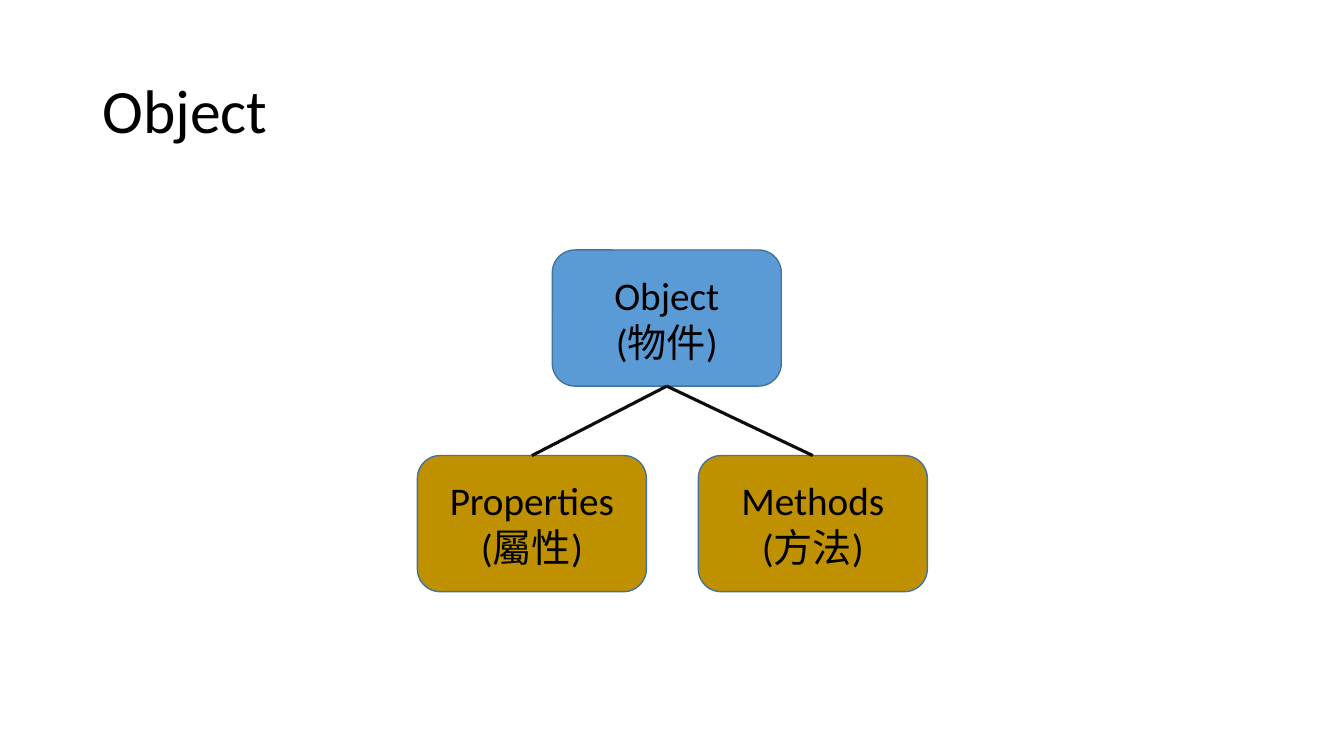
from lxml import etree
from pptx import Presentation
from pptx.dml.color import RGBColor
from pptx.enum.shapes import MSO_CONNECTOR, MSO_SHAPE
from pptx.enum.text import MSO_ANCHOR, PP_ALIGN
from pptx.oxml.ns import qn
from pptx.util import Cm, Pt

TITLE = "Object"
PARENT = (["Object", "(物件)"], 13.92, 6.3, "5B9BD5")
CHILDREN = [
    (["Methods", "(方法)"], 17.6, 11.48, "BF9000"),
    (["Properties", "(屬性)"], 10.52, 11.48, "BF9000"),
]
BOX_WIDTH, BOX_HEIGHT = Cm(5.77), Cm(3.43)
BOTTOM, TOP = 2, 0


def color(value):
    return RGBColor.from_string(value)


def write(shape, lines, size, align, spacing=1.0):
    frame = shape.text_frame
    frame.word_wrap = True
    frame.vertical_anchor = MSO_ANCHOR.MIDDLE
    for index, line in enumerate(lines):
        paragraph = frame.add_paragraph() if index else frame.paragraphs[0]
        paragraph.alignment = align
        paragraph.line_spacing = spacing
        run = paragraph.add_run()
        run.text = line
        run.font.name = "Calibri"
        run.font.size = Pt(size)
        run.font.color.rgb = color("000000")


def add_box(lines, left, top, fill):
    box = slide.shapes.add_shape(
        MSO_SHAPE.ROUNDED_RECTANGLE, Cm(left), Cm(top), BOX_WIDTH, BOX_HEIGHT)
    box.shadow.inherit = False
    box.fill.solid()
    box.fill.fore_color.rgb = color(fill)
    box.line.color.rgb = color("43739E")
    box.line.width = Pt(1)
    write(box, lines, 28, PP_ALIGN.CENTER)
    return box


def join(parent, child):
    link = slide.shapes.add_connector(MSO_CONNECTOR.STRAIGHT, 0, 0, 0, 0)
    link.begin_connect(parent, BOTTOM)
    link.end_connect(child, TOP)
    link.line.color.rgb = color("0D0D0D")
    link.line.width = Pt(2.25)
    etree.SubElement(link._element.spPr, qn("a:effectLst"))


prs = Presentation()
prs.slide_width, prs.slide_height = Cm(33.87), Cm(19.05)
slide = prs.slides.add_slide(prs.slide_layouts[6])

title = slide.shapes.add_textbox(Cm(2.33), Cm(1.01), Cm(29.21), Cm(3.68))
write(title, [TITLE], 44, PP_ALIGN.LEFT, 0.9)

parent_box = add_box(*PARENT)
child_boxes = [add_box(*child) for child in CHILDREN]
for child_box in child_boxes:
    join(parent_box, child_box)

prs.save("out.pptx")
